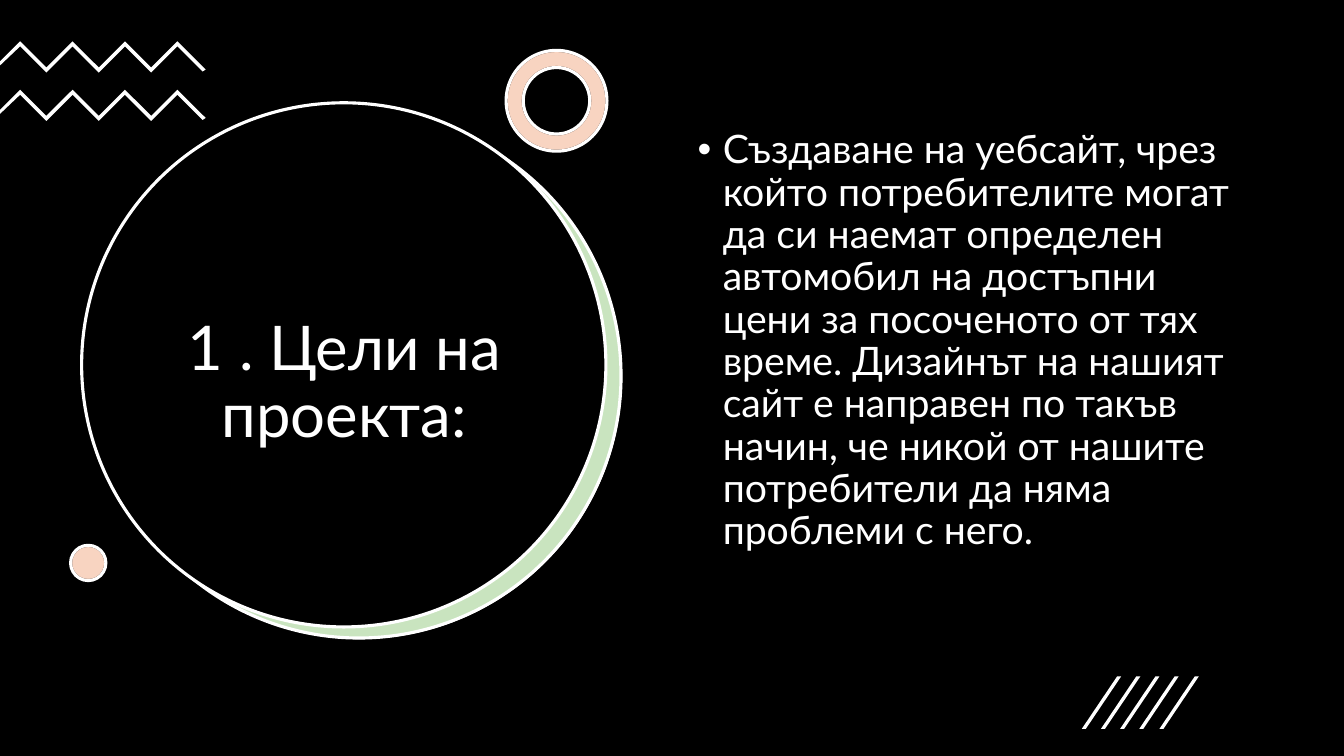
import pptx
import pptx.util
import pptx.dml.color
import pptx.enum.shapes
import pptx.enum.text
import pptx.oxml
import pptx.oxml.ns

PX = 9144
WHITE, BLACK, PEACH, GREEN = "FFFFFF", "000000", "E97132", "4EA72E"
KIND = pptx.enum.shapes.MSO_SHAPE
ALIGN = pptx.enum.text.PP_ALIGN
ANCHOR = pptx.enum.text.MSO_ANCHOR
GOALS = (
    "Създаване на уебсайт, чрез който потребителите могат да си наемат "
    "определен автомобил на достъпни цени за посоченото от тях време. "
    "Дизайнът на нашият сайт е направен по такъв начин, че никой от "
    "нашите потребители да няма проблеми с него."
)


def color(code):
    """Turn a hex string into a colour."""
    return pptx.dml.color.RGBColor.from_string(code)


def node(parent, tag, **attrs):
    """Append a drawing element to a parent."""
    item = pptx.oxml.parse_xml(f"<a:{tag} {pptx.oxml.ns.nsdecls('a')}/>")
    for name, value in attrs.items():
        item.set(name, value)
    parent.append(item)


def paint(shape, fill, line=None, alpha=None):
    """Set the fill, outline and opacity of a shape."""
    shape.shadow.inherit = False
    shape.fill.solid()
    shape.fill.fore_color.rgb = color(fill)
    if alpha:
        tint = shape.fill._xPr.find(".//" + pptx.oxml.ns.qn("a:srgbClr"))
        node(tint, "alpha", val=str(alpha * 1000))
    if line:
        shape.line.color.rgb = color(line)
        shape.line.width = pptx.util.Pt(2.25)
    else:
        shape.line.fill.background()


def place(slide, kind, box, fill, line=None, alpha=None):
    """Add a painted preset shape in a box."""
    shape = slide.shapes.add_shape(kind, *(n * PX for n in box))
    paint(shape, fill, line, alpha)
    return shape


def outline(slide, points):
    """Add a white closed outline."""
    pen = slide.shapes.build_freeform(*points[0], scale=PX)
    pen.add_line_segments(points[1:], close=True)
    paint(pen.convert_to_shape(), WHITE)


def write(slide, box, words, size, anchor):
    """Add a text box and return its paragraph."""
    frame = slide.shapes.add_textbox(*(n * PX for n in box)).text_frame
    frame.word_wrap = True
    frame.vertical_anchor = anchor
    para = frame.paragraphs[0]
    para.line_spacing = 0.9
    run = para.add_run()
    run.text = words
    run.font.name = "Lato"
    run.font.size = pptx.util.Pt(size)
    run.font.color.rgb = color(WHITE)
    return para


def disc(slide, box):
    """Draw the title disc with its green crescent."""
    left, top, side = box
    place(slide, KIND.OVAL, (left + 16, top + 12, side, side), WHITE)
    place(slide, KIND.OVAL, (left + 15, top + 11, side, side), GREEN, WHITE, 30)
    place(slide, KIND.OVAL, (left, top, side, side), BLACK, WHITE)
    title = write(slide, (left + 40, top + 103, 441, 352),
                  "1 . Цели на проекта:", 44, ANCHOR.MIDDLE)
    title.alignment = ALIGN.CENTER


def waves(slide, box):
    """Draw two zigzag bands running in from the left edge."""
    left, top, gap = box
    for row in range(2):
        high = top + row * gap
        peaks = [(left + 20 + 26 * i, high + 26 * (i % 2)) for i in range(7)]
        under = [(x, y + 5) for x, y in reversed(peaks)]
        tip = [(left + 204, high + 28), (left + 201, high + 30)]
        tail = [(left, high + 24), (left, high + 20)]
        outline(slide, peaks + tip + under + tail)


def accent(slide, kind, box, hole=None):
    """Draw a peach accent over a white base."""
    for style in ((WHITE, BLACK), (PEACH, WHITE, 30)):
        shape = place(slide, kind, box, *style)
        if hole:
            shape.adjustments[0] = hole


def goals(slide, box):
    """Write the bulleted goals."""
    para = write(slide, box, GOALS, 28, ANCHOR.TOP)
    para.space_before = pptx.util.Pt(10)
    props = para._p.get_or_add_pPr()
    props.set("marL", str(25 * PX))
    props.set("indent", str(-25 * PX))
    node(props, "buFont", typeface="Arial")
    node(props, "buChar", char="•")


def strokes(slide, box):
    """Draw five slanted strokes evenly across a box."""
    left, top, wide, high = box
    for i in range(5):
        x = left + i * (wide - 39) // 4
        outline(slide, [(x + 4, top + high), (x, top + high),
                        (x + 35, top), (x + 39, top)])


def main():
    """Build and save the slide."""
    deck = pptx.Presentation()
    deck.slide_width, deck.slide_height = 1333 * PX, 750 * PX
    slide = deck.slides.add_slide(deck.slide_layouts[6])
    place(slide, KIND.RECTANGLE, (0, 0, 1333, 750), BLACK)
    disc(slide, (81, 102, 520))
    waves(slide, (0, 41, 48))
    accent(slide, KIND.DONUT, (502, 50, 100, 100), 0.17)
    accent(slide, KIND.OVAL, (70, 541, 35, 35))
    goals(slide, (682, 124, 571, 476))
    strokes(slide, (1073, 671, 116, 52))
    deck.save("out.pptx")


if __name__ == "__main__":
    main()
